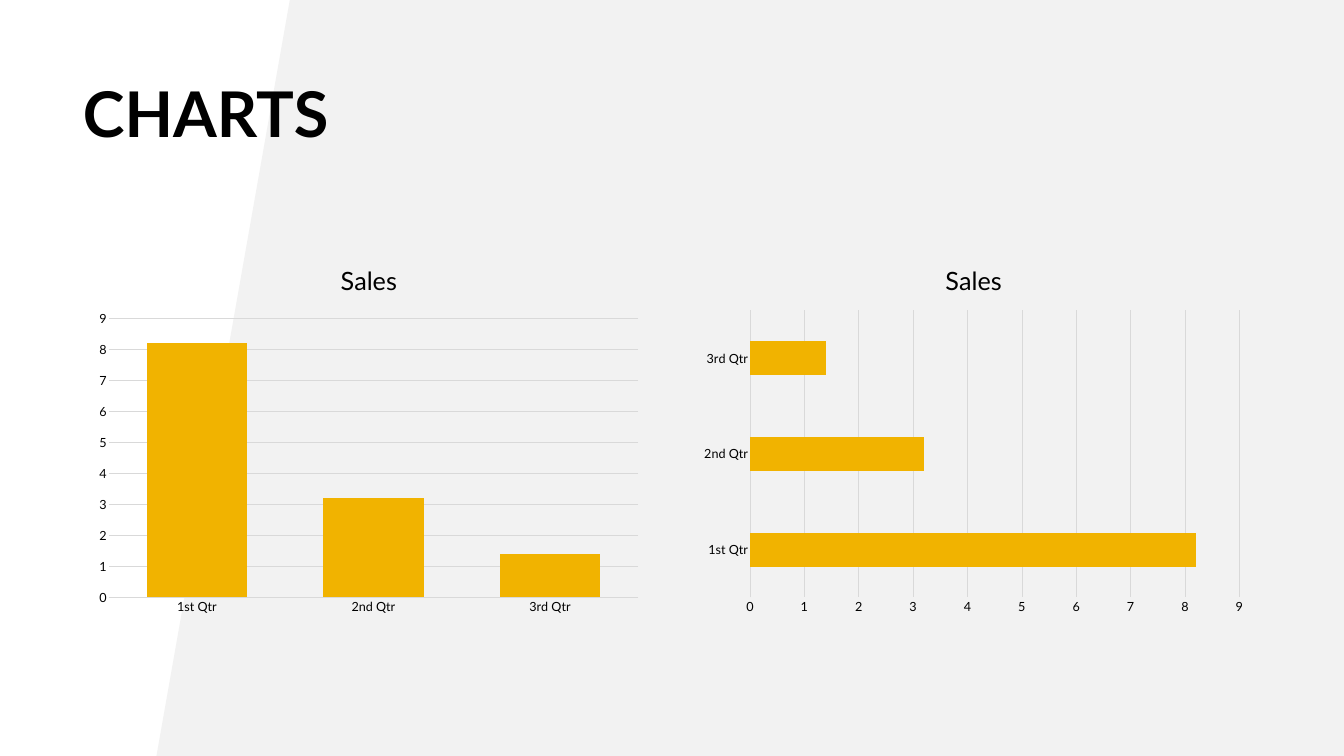
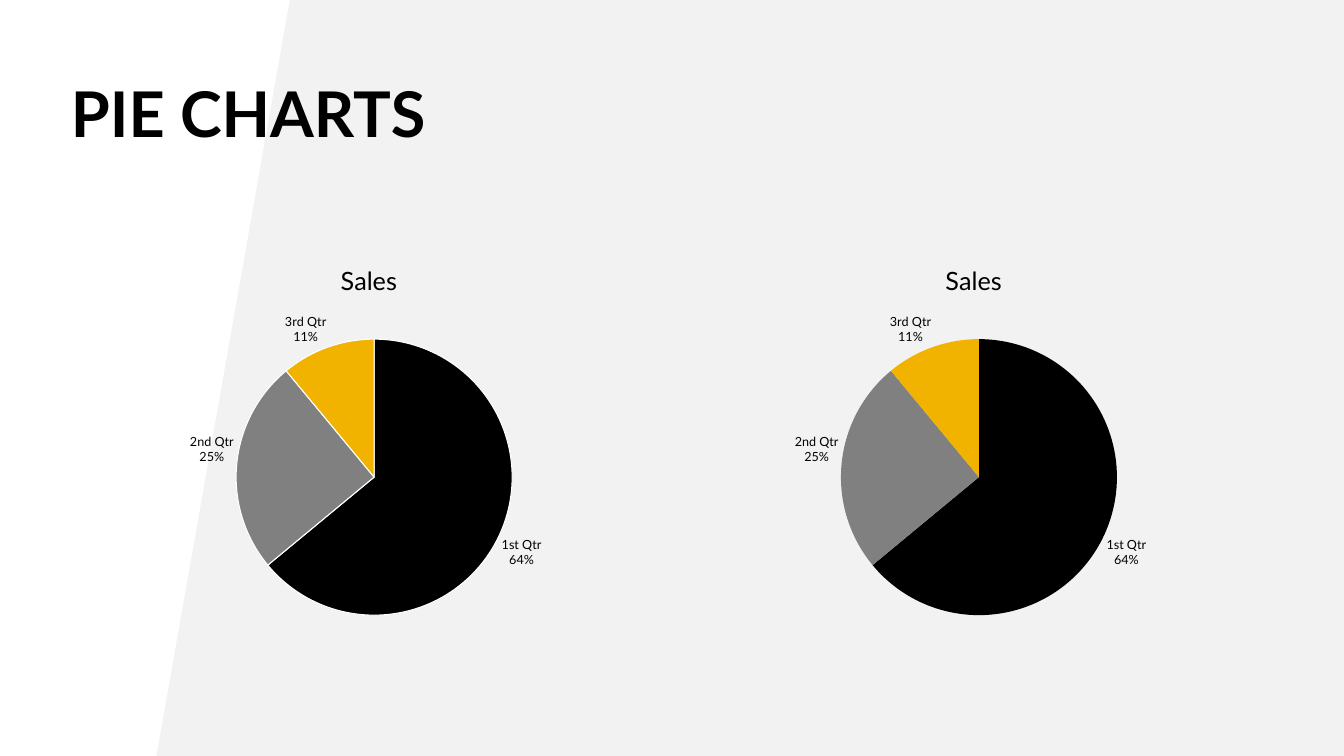
from lxml.etree import Element
from pptx import Presentation
from pptx.chart.data import CategoryChartData
from pptx.dml.color import RGBColor
from pptx.enum.chart import XL_CHART_TYPE as ChartType
from pptx.enum.chart import XL_LABEL_POSITION as LabelPosition
from pptx.enum.chart import XL_TICK_MARK as TickMark
from pptx.enum.text import MSO_ANCHOR, MSO_AUTO_SIZE, PP_ALIGN
from pptx.oxml.ns import qn
from pptx.util import Pt

EMU_PER_PX = 9525
SLIDE_WIDTH, SLIDE_HEIGHT = 2560, 1440
LEFT_CHART, RIGHT_CHART = 168, 1320
CHART_TOP, CHART_WIDTH, CHART_HEIGHT = 472, 1069, 713
FONT = "Lato"
COLORS = {
    "text": "000000",
    "background": "FFFFFF",
    "band": "F2F2F2",
    "grid": "D9D9D9",
    "accent": "F1B300",
    "gray": "808080",
}
SLICE_COLORS = ("text", "gray", "accent")
QUARTERS = ("1st Qtr", "2nd Qtr", "3rd Qtr")
SALES = (8.2, 3.2, 1.4)
SHARES = (64, 25, 11)


def px(length):
    return length * EMU_PER_PX


def color(name):
    return RGBColor.from_string(COLORS[name])


def set_font(font, size, bold=False):
    font.name = FONT
    font.size = Pt(size)
    font.bold = bold
    font.color.rgb = color("text")


def set_fill(target, name):
    target.fill.solid()
    target.fill.fore_color.rgb = color(name)


def set_line(line, name, width):
    line.color.rgb = color(name)
    line.width = Pt(width)


def add_band(slide, layout):
    outline = slide.shapes.build_freeform(552, 0, scale=EMU_PER_PX)
    outline.add_line_segments(
        [(SLIDE_WIDTH, 0), (SLIDE_WIDTH, SLIDE_HEIGHT), (298, SLIDE_HEIGHT)]
    )
    band = outline.convert_to_shape()
    set_fill(band, "band")
    band.line.fill.background()
    band.shadow.inherit = False
    band.element.nvSpPr.cNvPr.set("id", "20")
    layout.shapes.element.insert(2, band.element)


def add_title(slide, text, indent=0):
    title = slide.shapes.title
    title.left, title.top = px(135), px(160)
    title.width, title.height = px(2208), px(128)
    frame = title.text_frame
    frame.margin_left = px(indent)
    frame.margin_top = frame.margin_right = frame.margin_bottom = 0
    frame.vertical_anchor = MSO_ANCHOR.TOP
    frame.word_wrap = True
    frame.auto_size = MSO_AUTO_SIZE.SHAPE_TO_FIT_TEXT
    frame.text = text
    paragraph = frame.paragraphs[0]
    paragraph.alignment = PP_ALIGN.LEFT
    paragraph.line_spacing = Pt(95)
    set_font(paragraph.font, 90, bold=True)


def add_sales_chart(slide, chart_type, left, values):
    data = CategoryChartData()
    data.categories = QUARTERS
    data.add_series("Sales", values)
    chart = slide.shapes.add_chart(
        chart_type, px(left), px(CHART_TOP), px(CHART_WIDTH), px(CHART_HEIGHT), data
    ).chart
    set_font(chart.font, 18)
    chart.has_legend = False
    chart.has_title = True
    chart.chart_title.include_in_layout = False
    heading = chart.chart_title.text_frame
    heading.text = "Sales"
    set_font(heading.paragraphs[0].font, 36)
    return chart


def add_bars(slide, chart_type, left, gap, overlap=0):
    chart = add_sales_chart(slide, chart_type, left, SALES)
    plot = chart.plots[0]
    plot.vary_by_categories = False
    plot.gap_width = gap
    plot.overlap = overlap
    set_fill(plot.series[0].format, "accent")
    quarters, amounts = chart.category_axis, chart.value_axis
    for axis in (quarters, amounts):
        axis.major_tick_mark = axis.minor_tick_mark = TickMark.NONE
        set_font(axis.tick_labels.font, 18)
    set_line(quarters.format.line, "grid", 0.75)
    amounts.format.line.fill.background()
    amounts.minimum_scale, amounts.maximum_scale = 0, 9
    amounts.major_unit = 1
    amounts.has_major_gridlines = True
    set_line(amounts.major_gridlines.format.line, "grid", 0.75)


def add_pie(slide, left, outlined):
    chart = add_sales_chart(slide, ChartType.PIE, left, SHARES)
    chart.plots[0].vary_by_categories = True
    shares = chart.plots[0].series[0]
    for index, name in enumerate(SLICE_COLORS):
        slice_format = shares.points[index].format
        set_fill(slice_format, name)
        if outlined:
            set_line(slice_format.line, "background", 1.5)
        else:
            slice_format.line.fill.background()
    labels = shares.data_labels
    labels.show_value = False
    labels.show_category_name = True
    labels.show_percentage = True
    labels.position = LabelPosition.OUTSIDE_END
    set_font(labels.font, 18)
    separator = Element(qn("c:separator"))
    separator.text = "\n"
    shares.data_labels._element.find(qn("c:showBubbleSize")).addnext(separator)


def main():
    deck = Presentation()
    deck.slide_width, deck.slide_height = px(SLIDE_WIDTH), px(SLIDE_HEIGHT)
    layout = deck.slide_layouts[5]
    set_fill(deck.slide_master.background, "background")

    bar_slide = deck.slides.add_slide(layout)
    add_band(bar_slide, layout)
    add_bars(bar_slide, ChartType.BAR_CLUSTERED, RIGHT_CHART, gap=182)
    add_title(bar_slide, "CHARTS", indent=23)
    add_bars(bar_slide, ChartType.COLUMN_CLUSTERED, LEFT_CHART, gap=75, overlap=-25)

    pie_slide = deck.slides.add_slide(layout)
    add_pie(pie_slide, RIGHT_CHART, outlined=False)
    add_title(pie_slide, "PIE CHARTS")
    add_pie(pie_slide, LEFT_CHART, outlined=True)

    deck.save("out.pptx")


if __name__ == "__main__":
    main()
